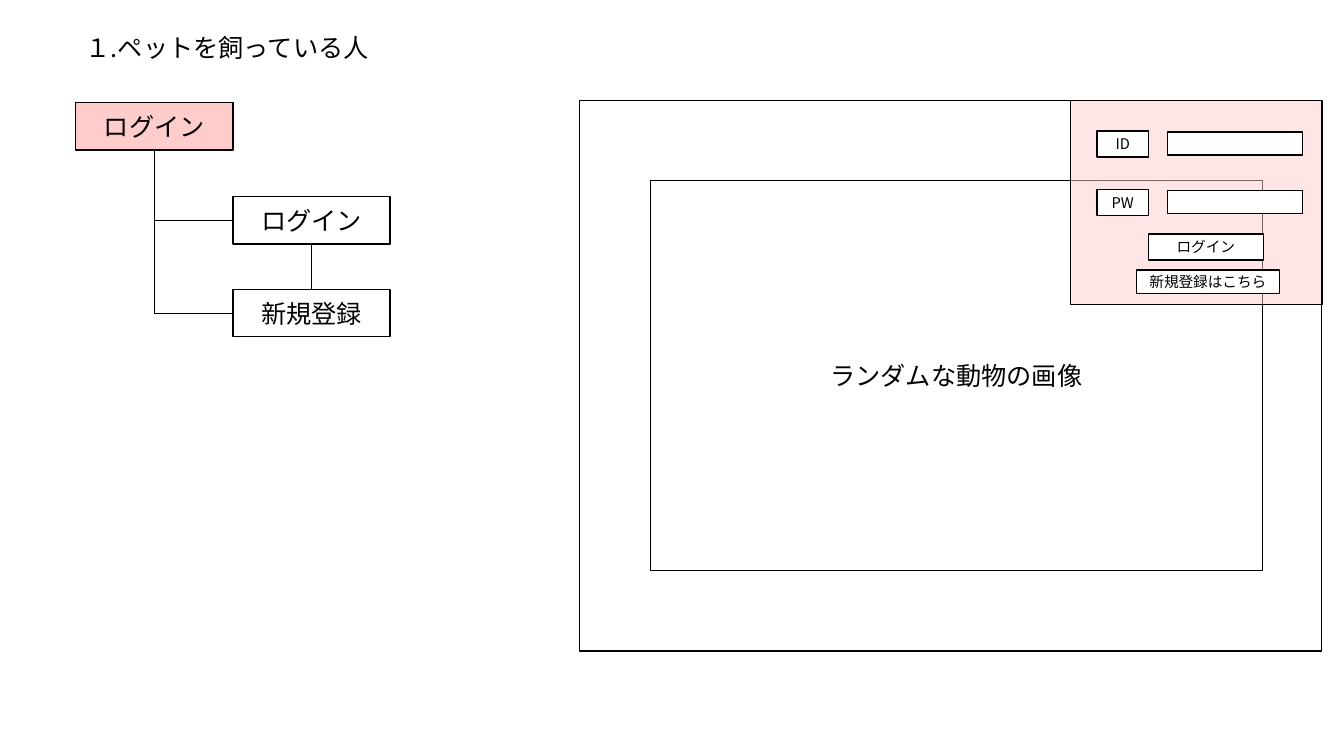
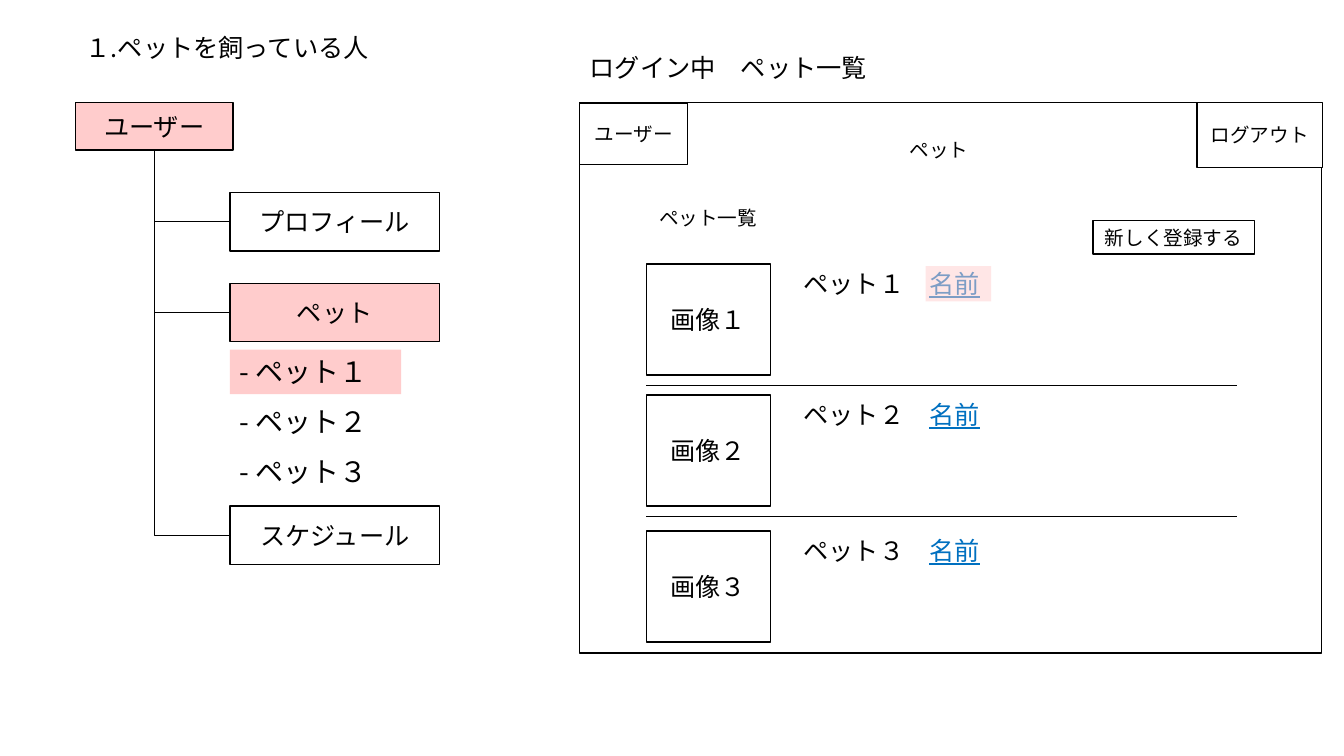
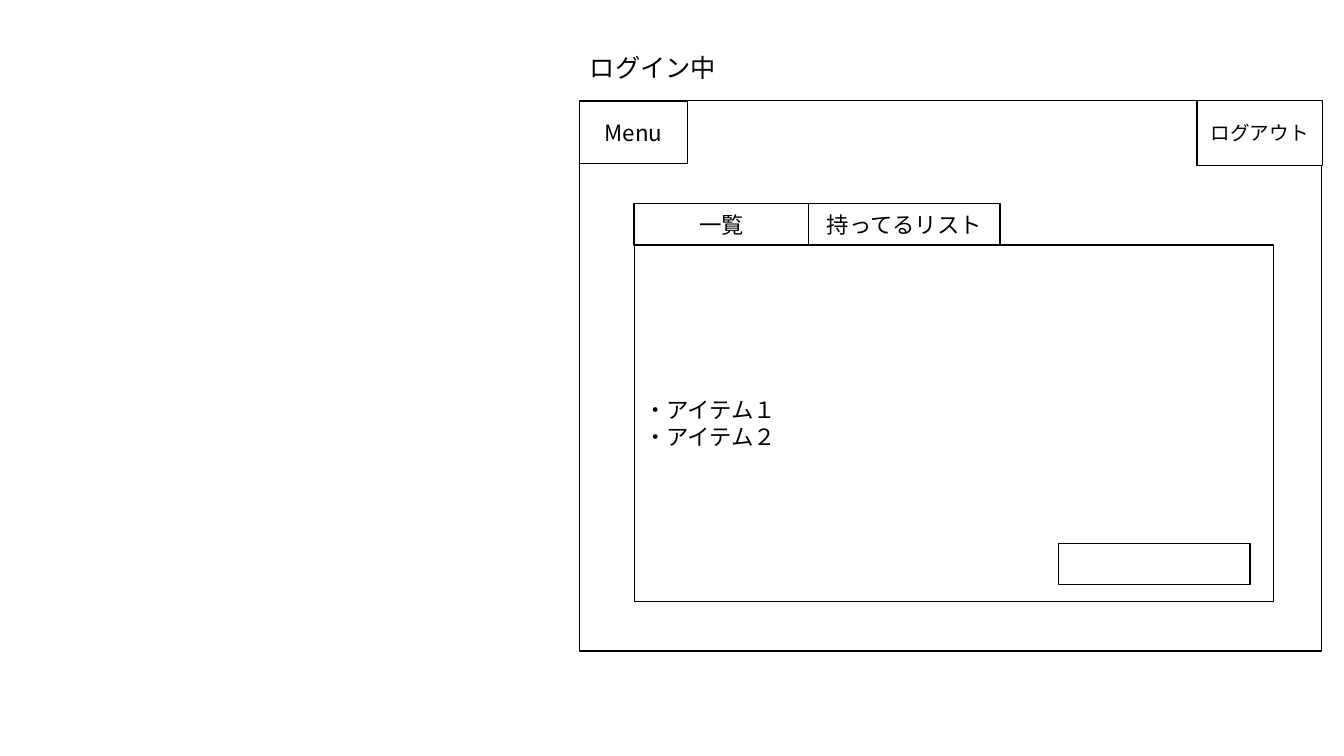
from dataclasses import dataclass

from lxml import etree
from pptx import Presentation
from pptx import util as u
from pptx.dml.color import RGBColor
from pptx.enum import shapes, text
from pptx.oxml.ns import qn

PX = 9144  # EMU per px, 100 px to the inch
FONT = "Noto Sans CJK JP"
COLOURS = {"ink": "000000", "paper": "FFFFFF", "active": "FFCCCC", "link": "0070C0"}
SECTION = "１.ペットを飼っている人"
CENTER, LEFT = text.PP_ALIGN.CENTER, text.PP_ALIGN.LEFT
MIDDLE, TOP = text.MSO_ANCHOR.MIDDLE, text.MSO_ANCHOR.TOP


@dataclass
class Box:
    left: int
    top: int
    width: int
    height: int
    text: str = ""
    size: float = 18
    fill: str | None = "paper"
    border: bool = True
    alpha: int = 100
    link: str = ""

    def place(self) -> tuple[int, int, int, int]:
        return tuple(value * PX for value in (self.left, self.top, self.width, self.height))


def colour(name: str) -> RGBColor:
    return RGBColor.from_string(COLOURS[name])


# Text and surface styling
def write(shape, box: Box, align=CENTER, anchor=MIDDLE) -> None:
    frame = shape.text_frame
    frame.text = box.text
    frame.word_wrap = True
    frame.auto_size = text.MSO_AUTO_SIZE.NONE
    frame.vertical_anchor = anchor
    for paragraph in frame.paragraphs:
        paragraph.alignment = align
        paragraph.space_before = u.Pt(0)
        font = paragraph.font
        font.size, font.name = u.Pt(box.size), FONT
        font.color.rgb = colour("ink")
        defaults = paragraph._p.pPr.find(qn("a:defRPr"))
        etree.SubElement(defaults, qn("a:ea"), typeface=FONT)
    if box.link:
        run = frame.paragraphs[0].add_run()
        run.text = box.link
        run.font.underline = True
        run.font.color.rgb = colour("link")


def paint(shape, box: Box) -> None:
    if box.fill:
        shape.fill.solid()
        shape.fill.fore_color.rgb = colour(box.fill)
        if box.alpha < 100:
            solid = shape._element.spPr.find(qn("a:solidFill"))
            etree.SubElement(solid[0], qn("a:alpha"), val=str(box.alpha * 1000))
    else:
        shape.fill.background()
    if box.border:
        shape.line.color.rgb = colour("ink")
        shape.line.width = u.Pt(1)
    else:
        shape.line.fill.background()


# Drawing parts
def add_box(slide, box: Box):
    shape = slide.shapes.add_shape(shapes.MSO_SHAPE.RECTANGLE, *box.place())
    shape.shadow.inherit = False
    paint(shape, box)
    if box.text:
        write(shape, box)
    return shape


def add_label(slide, box: Box, align=LEFT, anchor=TOP) -> None:
    label = slide.shapes.add_textbox(*box.place())
    if box.fill == "active":
        paint(label, box)
    write(label, box, align, anchor)


def move_placeholder(shape, box: Box, anchor=TOP) -> None:
    shape.left, shape.top, shape.width, shape.height = box.place()
    write(shape, box, LEFT, anchor)


def style_line(connector) -> None:
    connector.line.color.rgb = colour("ink")
    connector.line.width = u.Pt(0.5)
    etree.SubElement(connector._element.spPr, qn("a:effectLst"))


def add_line(slide, x0: int, y0: int, x1: int, y1: int):
    connector = slide.shapes.add_connector(
        shapes.MSO_CONNECTOR.STRAIGHT, x0 * PX, y0 * PX, x1 * PX, y1 * PX)
    style_line(connector)
    return connector


def add_branch(slide, parent, child) -> None:
    """Run down from the parent's bottom, then right to the child's left side."""
    x0, y0 = parent.left + parent.width // 2, parent.top + parent.height
    x1, y1 = child.left, child.top + child.height // 2
    connector = slide.shapes.add_connector(shapes.MSO_CONNECTOR.ELBOW, x0, y0, x1, y1)
    connector.begin_connect(parent, 2)
    connector.end_connect(child, 1)
    # A one-bend connector is a flipped shape turned by 270 degrees
    across, down = x1 - x0, y1 - y0
    connector.left = (x0 + x1 - down) // 2
    connector.top = (y0 + y1 - across) // 2
    connector.width, connector.height = down, across
    properties = connector._element.spPr
    properties.find(qn("a:prstGeom")).set("prst", "bentConnector2")
    outline = properties.find(qn("a:xfrm"))
    outline.set("rot", "16200000")
    outline.set("flipH", "1")
    style_line(connector)


def add_screen(slide, top: int) -> None:
    add_box(slide, Box(575, top, 736, 546))


def add_logout(slide, top: int) -> None:
    add_box(slide, Box(1187, top, 125, 64, "ログアウト", 14))


def add_root(slide, name: str):
    move_placeholder(slide.shapes.title, Box(75, 27, 304, 40, SECTION))
    return add_box(slide, Box(75, 102, 156, 47, name, fill="active"))


def build_login(presentation) -> None:
    slide = presentation.slides.add_slide(presentation.slide_layouts[5])
    # Start screen with the login panel
    add_screen(slide, 100)
    add_box(slide, Box(645, 179, 607, 387, "ランダムな動物の画像"))
    add_box(slide, Box(1062, 100, 249, 202, fill="active", alpha=49))
    for top, name in ((130, "ID"), (188, "PW")):
        add_box(slide, Box(1088, top, 51, 26, name, 10.5))
        add_box(slide, Box(1158, top + 1, 134, 23))
    add_box(slide, Box(1139, 232, 114, 26, "ログイン", 10.5))
    add_box(slide, Box(1127, 268, 142, 23, "新規登録はこちら", 10.5))
    # Site tree
    root = add_root(slide, "ログイン")
    login, register = (add_box(slide, Box(231, top, 156, 47, name))
                       for top, name in ((195, "ログイン"), (287, "新規登録")))
    for child in (login, register):
        add_branch(slide, root, child)
    link = add_line(slide, 309, 242, 309, 287)
    link.begin_connect(login, 2)
    link.end_connect(register, 0)


def build_pets(presentation) -> None:
    slide = presentation.slides.add_slide(presentation.slide_layouts[5])
    # Site tree
    root = add_root(slide, "ユーザー")
    profile, pets, schedule = (
        add_box(slide, Box(228, top, 208, 58, name, fill=fill))
        for top, name, fill in ((191, "プロフィール", None), (281, "ペット", "active"),
                                (502, "スケジュール", None)))
    for child in (profile, schedule):
        add_branch(slide, root, child)
    add_line(slide, 153, 310, 228, 310).end_connect(pets, 1)
    for index, digit in enumerate("１２３"):
        add_label(slide, Box(228, 347 + 99 * index // 2, 170, 44, f"- ペット{digit}", 20,
                             fill=None if index else "active", border=False))
    # Screen header
    add_label(slide, Box(575, 47, 435, 40, "ログイン中　ペット一覧"))
    add_screen(slide, 102)
    add_logout(slide, 102)
    add_box(slide, Box(575, 102, 107, 61, "ユーザー", 14))
    add_label(slide, Box(630, 127, 603, 42, "ペット", 14), CENTER, MIDDLE)
    add_label(slide, Box(641, 195, 123, 42, "ペット一覧", 14), CENTER, MIDDLE)
    add_box(slide, Box(1084, 219, 160, 33, "新しく登録する", 14))
    # Pet rows, ruled off from each other
    for top, digit in zip((262, 392, 527), "１２３"):
        add_box(slide, Box(641, top, 123, 110, f"画像{digit}"))
        add_label(slide, Box(787, top - 1, 316, 101, f"ペット{digit}　", link="名前"))
        if digit != "３":
            add_line(slide, 641, top + 120, 1227, top + 120)
    add_box(slide, Box(918, 264, 65, 35, fill="active", border=False, alpha=49))


def build_items(presentation) -> None:
    slide = presentation.slides.add_slide(presentation.slide_layouts[1])
    move_placeholder(slide.shapes.title, Box(575, 47, 200, 40, "ログイン中"))
    add_screen(slide, 100)
    add_box(slide, Box(575, 101, 107, 61, "Menu", 16))
    add_logout(slide, 100)
    # Item list, raised above the screen
    items = slide.placeholders[1]
    panel = Box(629, 243, 634, 354, "・アイテム１\n・アイテム２", 16)
    move_placeholder(items, panel, MIDDLE)
    paint(items, panel)
    for paragraph in items.text_frame.paragraphs:
        properties = paragraph._p.pPr
        properties.set("marL", "0")
        properties.set("indent", "0")
        properties.find(qn("a:defRPr")).addprevious(etree.Element(qn("a:buNone")))
    slide.shapes._spTree.append(items._element)
    # Tabs and button
    add_box(slide, Box(629, 202, 173, 41, "一覧", 16))
    add_box(slide, Box(802, 202, 190, 41, "持ってるリスト", 16))
    add_box(slide, Box(1050, 539, 190, 41))


def main() -> None:
    presentation = Presentation()
    presentation.slide_width, presentation.slide_height = 1333 * PX, 750 * PX
    for build in (build_login, build_pets, build_items):
        build(presentation)
    presentation.save("out.pptx")


if __name__ == "__main__":
    main()
